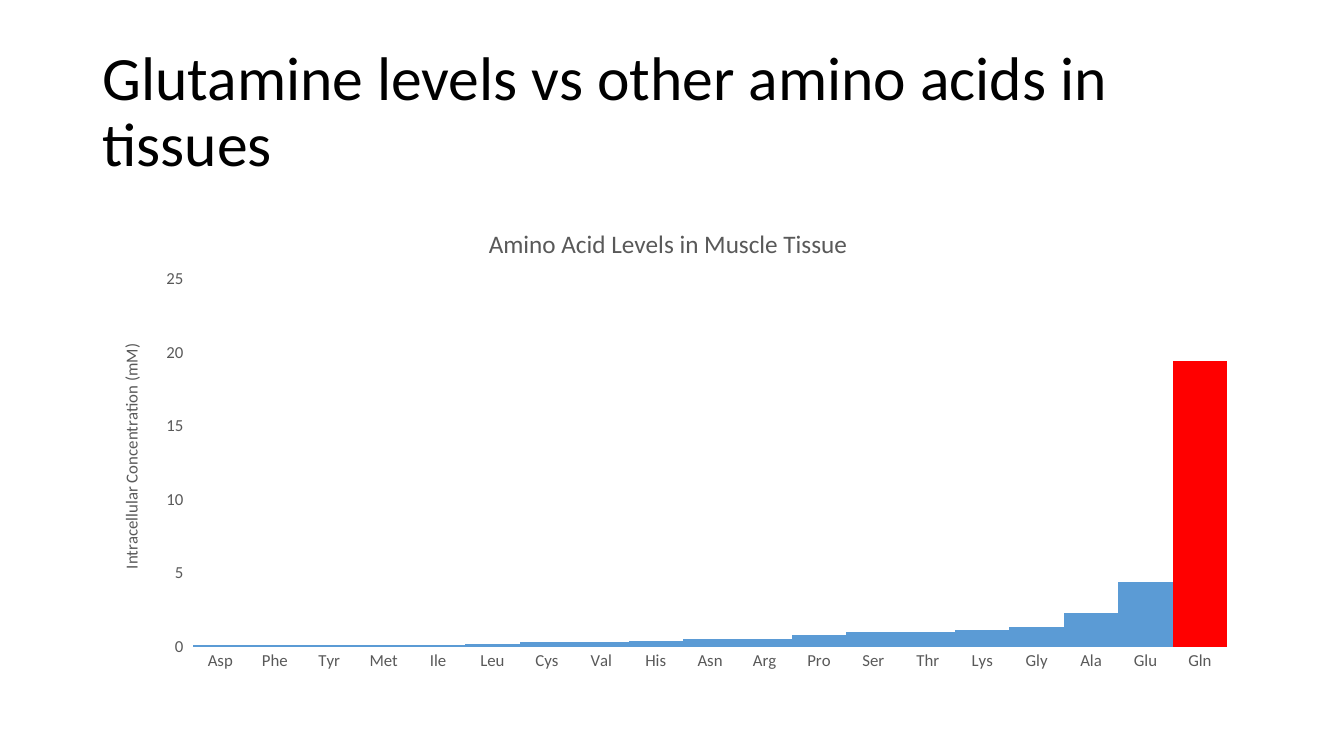
from lxml import etree
from pptx import Presentation
from pptx.chart.data import CategoryChartData
from pptx.dml.color import RGBColor
from pptx.enum.chart import XL_CHART_TYPE, XL_TICK_MARK
from pptx.enum.text import MSO_ANCHOR, MSO_AUTO_SIZE, PP_ALIGN
from pptx.oxml.ns import qn
from pptx.util import Pt

HEAD = "Glutamine levels vs other amino acids in tissues"
NAME = "Amino Acid Levels in Muscle Tissue"
UNIT = "Intracellular Concentration (mM)"
LEVELS = {
    "Asp": 0.1, "Phe": 0.1, "Tyr": 0.1, "Met": 0.1, "Ile": 0.1,
    "Leu": 0.2, "Cys": 0.3, "Val": 0.3, "His": 0.4, "Asn": 0.5,
    "Arg": 0.5, "Pro": 0.8, "Ser": 1, "Thr": 1, "Lys": 1.1,
    "Gly": 1.3, "Ala": 2.3, "Glu": 4.4, "Gln": 19.4,
}
MARKED = "Gln"

FONT = "Calibri"
BLACK = RGBColor(0x00, 0x00, 0x00)
GREY = RGBColor(0x59, 0x59, 0x59)
PALE = RGBColor(0xD9, 0xD9, 0xD9)
BLUE = RGBColor(0x5B, 0x9B, 0xD5)
RED = RGBColor(0xFF, 0x00, 0x00)
COLUMN = XL_CHART_TYPE.COLUMN_CLUSTERED
NONE, OUT = XL_TICK_MARK.NONE, XL_TICK_MARK.OUTSIDE
MIDDLE, LEFT = MSO_ANCHOR.MIDDLE, PP_ALIGN.LEFT
NO_FIT = MSO_AUTO_SIZE.NONE

EDGE, WIDE = Pt(66), Pt(828)
TITLE_BOX = {"left": EDGE, "top": Pt(28.75), "width": WIDE, "height": Pt(104.4)}
CHART_BOX = (EDGE, Pt(144), WIDE, Pt(342.7))
PLOT = {"layoutTarget": "inner", "xMode": "edge", "yMode": "edge",
        "x": 0.087, "y": 0.161, "w": 0.892, "h": 0.767}
NAME_AT = {"xMode": "edge", "yMode": "edge", "x": 0.338, "y": 0.043}
UNIT_AT = {"xMode": "edge", "yMode": "edge", "x": 0.021, "y": 0.29}


def style(item, **values):
    for key, value in values.items():
        setattr(item, key, value)


def type_in(font, size, color):
    style(font, name=FONT, size=Pt(size), bold=False)
    font.color.rgb = color


def place(part, values):
    layout = part.get_or_add_layout() if hasattr(part, "get_or_add_layout") else part.find(qn("c:layout"))
    if layout is None:
        layout = etree.Element(qn("c:layout"))
        part.insert(0, layout)
    for child in list(layout):
        layout.remove(child)
    manual = etree.SubElement(layout, qn("c:manualLayout"))
    for key, value in values.items():
        etree.SubElement(manual, qn("c:" + key)).set("val", str(value))


def label(owner, title, text, size, spot):
    frame = title.text_frame
    frame.text = text
    type_in(frame.paragraphs[0].runs[0].font, size, GREY)
    place(owner.find(qn("c:title")), spot)


def add_title(slide):
    title = slide.shapes.title
    style(title, **TITLE_BOX)
    frame = title.text_frame
    frame.text = HEAD
    style(frame, vertical_anchor=MIDDLE, word_wrap=True, auto_size=NO_FIT)
    line = frame.paragraphs[0]
    style(line, alignment=LEFT, line_spacing=0.9)
    type_in(line.runs[0].font, 44, BLACK)


def add_levels(slide):
    data = CategoryChartData()
    data.categories = list(LEVELS)
    data.add_series("Series 1", list(LEVELS.values()))
    chart = slide.shapes.add_chart(COLUMN, *CHART_BOX, data).chart
    style(chart, has_legend=False, has_title=True)
    type_in(chart.font, 10, BLACK)
    area = chart.plots[0]
    style(area, gap_width=0, vary_by_categories=False)
    bars = area.series[0]
    mark = bars.points[list(LEVELS).index(MARKED)]
    for item, color in ((bars, BLUE), (mark, RED)):
        item.format.fill.solid()
        item.format.fill.fore_color.rgb = color
    cats, vals = chart.category_axis, chart.value_axis
    for axis, tick in ((cats, NONE), (vals, OUT)):
        style(axis, has_major_gridlines=False, major_tick_mark=tick,
              minor_tick_mark=NONE)
        type_in(axis.tick_labels.font, 12, GREY)
    cats.format.line.color.rgb = PALE
    cats.format.line.width = Pt(0.75)
    vals.format.line.fill.background()
    style(vals, has_title=True, minimum_scale=0, maximum_scale=25, major_unit=5)
    style(vals.tick_labels, number_format="General", number_format_is_linked=False)
    root = bars._element.getparent().getparent()
    label(root.getparent(), chart.chart_title, NAME, 18, NAME_AT)
    label(root.find(qn("c:valAx")), vals.axis_title, UNIT, 12, UNIT_AT)
    place(root, PLOT)


def main():
    deck = Presentation()
    style(deck, slide_width=Pt(960), slide_height=Pt(540))
    slide = deck.slides.add_slide(deck.slide_layouts[5])
    add_title(slide)
    add_levels(slide)
    deck.save("out.pptx")


if __name__ == "__main__":
    main()
